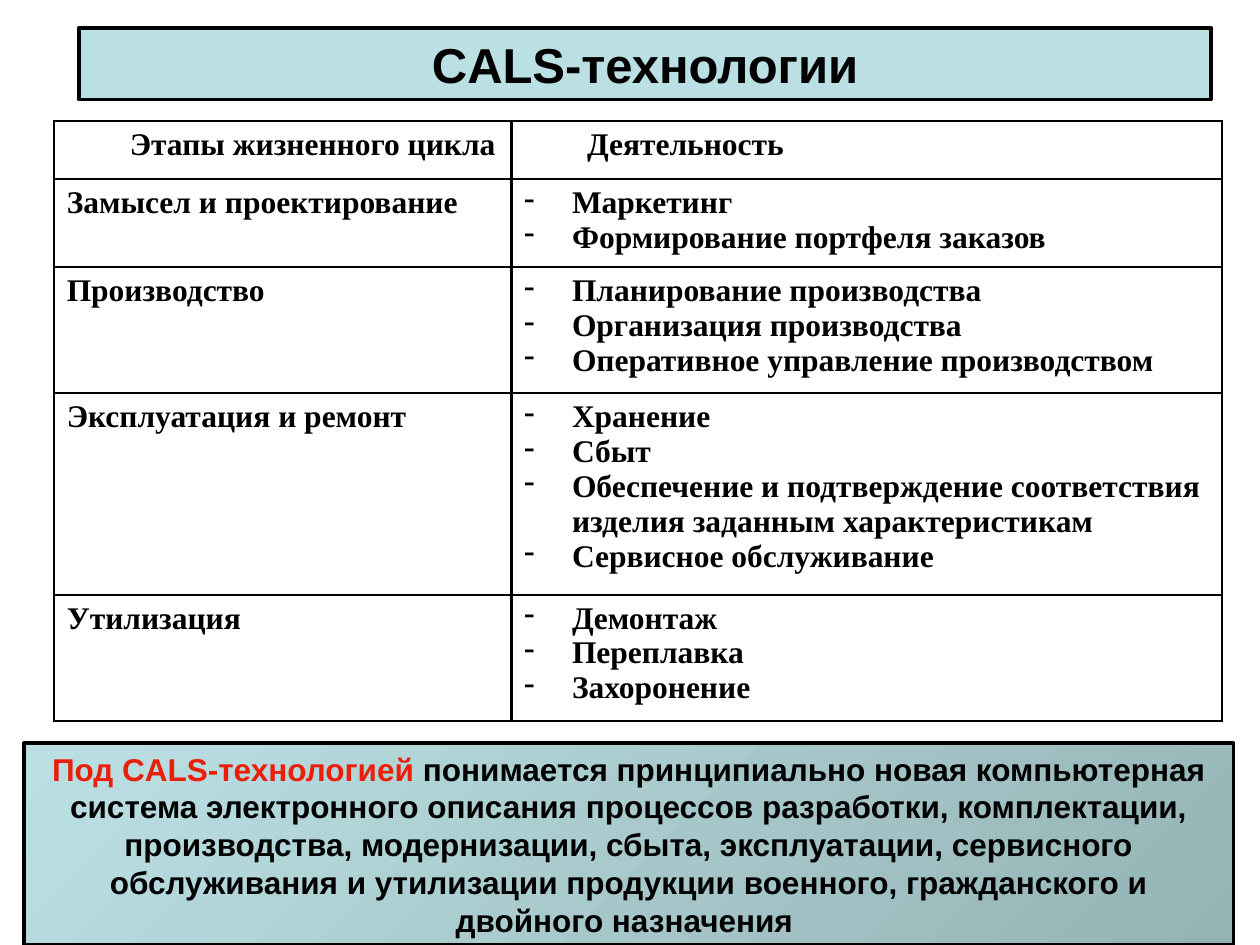
from dataclasses import dataclass

from lxml.etree import SubElement
from pptx import Presentation
from pptx.dml.color import RGBColor as RGB
from pptx.enum.shapes import MSO_SHAPE as SHAPE
from pptx.enum.text import MSO_ANCHOR as ANCHOR, MSO_AUTO_SIZE as AUTO, PP_ALIGN as ALIGN
from pptx.oxml.ns import qn
from pptx.util import Inches, Pt


@dataclass(frozen=True)
class Theme:
    ink: str = "000000"
    accent: str = "EA1F0A"
    light: str = "BBE0E3"
    dark: str = "95B3B5"
    sans: str = "Arial"
    serif: str = "Times New Roman"
    title: float = 28
    body: float = 18
    frame: float = 2.25
    rule: float = 1.47


def rgb(value):
    return RGB.from_string(value)


def add_run(p, text, font, size, color, bold=True):
    r = p.add_run()
    r.text = text
    r.font.name = font
    r.font.size = Pt(size)
    r.font.bold = bold
    r.font.color.rgb = rgb(color)
    return r


class SlideBuilder:
    def __init__(self, prs, theme):
        self.theme = theme
        self.s = prs.slides.add_slide(prs.slide_layouts[5])

    def outline(self, sp):
        sp.line.color.rgb = rgb(self.theme.ink)
        sp.line.width = Pt(self.theme.frame)

    def frame_text(self, sp):
        tf = sp.text_frame
        tf.word_wrap = True
        tf.auto_size = AUTO.NONE
        tf.vertical_anchor = ANCHOR.TOP
        p = tf.paragraphs[0]
        p.alignment = ALIGN.CENTER
        return p

    def title(self, text, left, top, width, height):
        t = self.theme
        sp = self.s.shapes.title
        sp.left, sp.top, sp.width, sp.height = map(Inches, (left, top, width, height))
        sp.fill.solid()
        sp.fill.fore_color.rgb = rgb(t.light)
        self.outline(sp)
        add_run(self.frame_text(sp), text, t.sans, t.title, t.ink)

    def gradient_box(self, runs, left, top, width, height):
        t = self.theme
        sp = self.s.shapes.add_shape(SHAPE.RECTANGLE, *map(Inches, (left, top, width, height)))
        sp.shadow.inherit = False
        sp.fill.gradient()
        sp.fill.gradient_angle = 135
        for stop, color, position in zip(sp.fill.gradient_stops, (t.dark, t.light), (0, 1)):
            stop.color.rgb = rgb(color)
            stop.position = position
        self.outline(sp)
        p = self.frame_text(sp)
        for text, color in runs:
            add_run(p, text, t.sans, t.body, color)

    def borders(self, cell):
        tc_pr = cell._tc.get_or_add_tcPr()
        for side in ("lnL", "lnR", "lnT", "lnB"):
            ln = SubElement(tc_pr, qn(f"a:{side}"), w=str(Pt(self.theme.rule)))
            fill = SubElement(ln, qn("a:solidFill"))
            SubElement(fill, qn("a:srgbClr"), val=self.theme.ink)

    def cell(self, cell, lines, indent, bullet=False):
        t = self.theme
        self.borders(cell)
        cell.fill.background()
        tf = cell.text_frame
        for i, text in enumerate(lines):
            p = tf.add_paragraph() if i else tf.paragraphs[0]
            p_pr = p._p.get_or_add_pPr()
            p_pr.set("marL", str(Inches(0.38)))
            p_pr.set("indent", str(Inches(indent)))
            if bullet:
                color = SubElement(p_pr, qn("a:buClr"))
                SubElement(color, qn("a:srgbClr"), val=t.ink)
                SubElement(p_pr, qn("a:buChar"), char="-")
            add_run(p, text, t.serif, t.body, t.ink)

    def table(self, header, stages, left, top, widths, heights):
        frame = self.s.shapes.add_table(
            len(heights), len(widths), Inches(left), Inches(top),
            Inches(sum(widths)), Inches(sum(heights)))
        table = frame.table
        table.first_row = False
        table.horz_banding = False
        for column, width in zip(table.columns, widths):
            column.width = Inches(width)
        for row, height in zip(table.rows, heights):
            row.height = Inches(height)
        for col, text in enumerate(header):
            self.cell(table.cell(0, col), [text], 0.12)
        for row, (stage, activities) in enumerate(stages, 1):
            self.cell(table.cell(row, 0), [stage], -0.38)
            self.cell(table.cell(row, 1), activities, -0.38, bullet=True)


HEADER = ["Этапы жизненного цикла", "Деятельность"]
STAGES = [
    ("Замысел и проектирование", ["Маркетинг", "Формирование портфеля заказов"]),
    ("Производство", [
        "Планирование производства",
        "Организация производства",
        "Оперативное управление производством",
    ]),
    ("Эксплуатация и ремонт", [
        "Хранение",
        "Сбыт",
        "Обеспечение и подтверждение соответствия изделия заданным характеристикам",
        "Сервисное обслуживание",
    ]),
    ("Утилизация", ["Демонтаж", "Переплавка", "Захоронение"]),
]
DEFINITION = (
    " понимается принципиально новая компьютерная система электронного описания "
    "процессов разработки, комплектации, производства, модернизации, сбыта, "
    "эксплуатации, сервисного обслуживания и утилизации продукции военного, "
    "гражданского и двойного назначения "
)


def main():
    prs = Presentation()
    prs.slide_width, prs.slide_height = Inches(10), Inches(7.5)
    theme = Theme()
    slide = SlideBuilder(prs, theme)
    slide.title("CALS-технологии", 0.63, 0.22, 8.98, 0.57)
    slide.table(HEADER, STAGES, 0.43, 0.96, [3.63, 5.64], [0.46, 0.7, 1, 1.6, 1])
    slide.gradient_box(
        [("Под CALS-технологией", theme.accent), (DEFINITION, theme.ink)],
        0.19, 5.9, 9.6, 1.6)
    prs.save("out.pptx")


if __name__ == "__main__":
    main()
